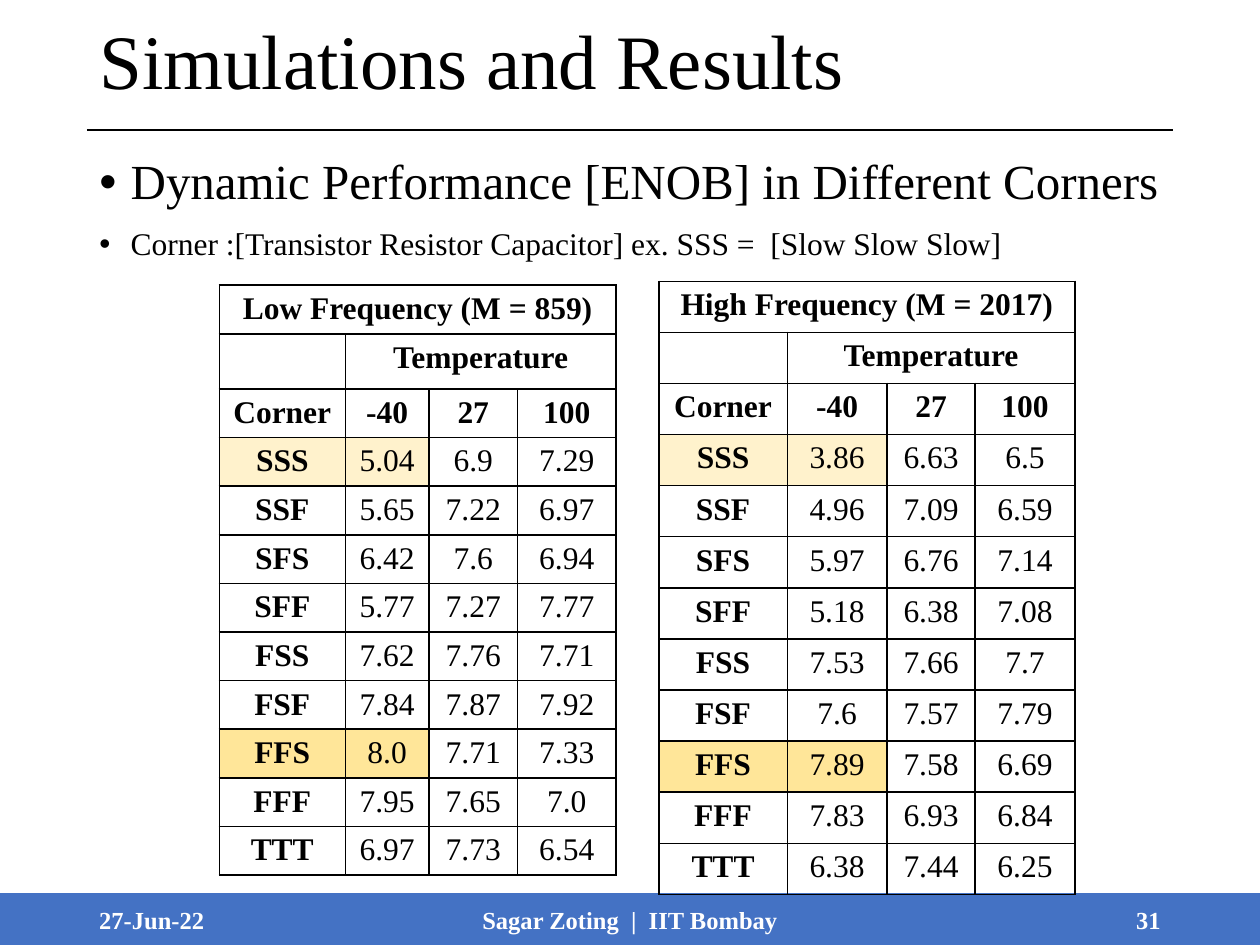
from lxml import etree
from pptx import Presentation
from pptx.dml.color import RGBColor
from pptx.enum.shapes import MSO_CONNECTOR, MSO_SHAPE
from pptx.enum.text import MSO_ANCHOR, MSO_AUTO_SIZE, PP_ALIGN
from pptx.oxml.ns import qn
from pptx.util import Cm, Pt

LEFT, CENTER, RIGHT = PP_ALIGN.LEFT, PP_ALIGN.CENTER, PP_ALIGN.RIGHT
TOP, MIDDLE = MSO_ANCHOR.TOP, MSO_ANCHOR.MIDDLE
NO_AUTOFIT = MSO_AUTO_SIZE.NONE
RECTANGLE, STRAIGHT = MSO_SHAPE.RECTANGLE, MSO_CONNECTOR.STRAIGHT

FONT = "Times New Roman"
BLACK = RGBColor(0x00, 0x00, 0x00)
WHITE = RGBColor(0xFF, 0xFF, 0xFF)
BLUE = RGBColor(0x44, 0x72, 0xC4)
PALE_GOLD = RGBColor(0xFF, 0xF2, 0xCC)
GOLD = RGBColor(0xFF, 0xE6, 0x99)

TITLE = "Simulations and Results"
BULLETS = [
    ("Dynamic Performance [ENOB] in Different Corners", 28),
    ("Corner :[Transistor Resistor Capacitor] ex. SSS =  [Slow Slow Slow]", 18),
]
# text, left and width in cm, alignment
FOOTERS = [
    ("27-Jun-22", 1.75, 5.72, LEFT),
    ("Sagar Zoting  |  IIT Bombay", 8.41, 8.58, CENTER),
    ("31", 17.93, 5.72, RIGHT),
]
TEMPERATURES = ["-40", "27", "100"]
CORNERS = ["SSS", "SSF", "SFS", "SFF", "FSS", "FSF", "FFS", "FFF", "TTT"]
HIGHLIGHTS = {"SSS": PALE_GOLD, "FFS": GOLD}
# lengths in cm; ENOB rows follow CORNERS, columns follow TEMPERATURES
ENOB_TABLES = [
    {
        "heading": "Low Frequency (M = 859)",
        "left": 4.42, "top": 5.75,
        "columns": [2.54, 1.69, 1.78, 1.99],
        "row": 0.98, "temperature_row": 1.11,
        "enob": [
            ("5.04", "6.9", "7.29"), ("5.65", "7.22", "6.97"),
            ("6.42", "7.6", "6.94"), ("5.77", "7.27", "7.77"),
            ("7.62", "7.76", "7.71"), ("7.84", "7.87", "7.92"),
            ("8.0", "7.71", "7.33"), ("7.95", "7.65", "7.0"),
            ("6.97", "7.73", "6.54"),
        ],
    },
    {
        "heading": "High Frequency (M = 2017)",
        "left": 13.28, "top": 5.67,
        "columns": [2.59, 2.01, 1.78, 2.01],
        "row": 1.03, "temperature_row": 1.03,
        "enob": [
            ("3.86", "6.63", "6.5"), ("4.96", "7.09", "6.59"),
            ("5.97", "6.76", "7.14"), ("5.18", "6.38", "7.08"),
            ("7.53", "7.66", "7.7"), ("7.6", "7.57", "7.79"),
            ("7.89", "7.58", "6.69"), ("7.83", "6.93", "6.84"),
            ("6.38", "7.44", "6.25"),
        ],
    },
]

MARGIN, CONTENT_WIDTH = 1.75, 21.9
RULE_Y = 2.62
FOOTER_TOP, FOOTER_HEIGHT = 18.03, 1.02


def place(shape, left, top, width, height):
    box = {"left": left, "top": top, "width": width, "height": height}
    for side, length in box.items():
        setattr(shape, side, Cm(length))


def write(paragraph, text, size, color=BLACK, bold=False, align=LEFT):
    paragraph.alignment = align
    run = paragraph.add_run()
    run.text = text
    style = {"name": FONT, "size": Pt(size), "bold": bold}
    for attribute, value in style.items():
        setattr(run.font, attribute, value)
    run.font.color.rgb = color


def set_frame(frame, anchor):
    settings = {"word_wrap": True, "auto_size": NO_AUTOFIT, "vertical_anchor": anchor}
    for attribute, value in settings.items():
        setattr(frame, attribute, value)


def add_borders(cell):
    properties = cell._tc.get_or_add_tcPr()
    for edge in ("a:lnL", "a:lnR", "a:lnT", "a:lnB"):
        line = etree.SubElement(properties, qn(edge), w=str(Pt(1)))
        fill = etree.SubElement(line, qn("a:solidFill"))
        etree.SubElement(fill, qn("a:srgbClr"), val=str(BLACK))


def add_enob_table(slide, data):
    rows = [
        [data["heading"], "", "", ""],
        ["", "Temperature", "", ""],
        ["Corner", *TEMPERATURES],
        *([corner, *values] for corner, values in zip(CORNERS, data["enob"])),
    ]
    heights = [data["row"]] * len(rows)
    heights[1] = data["temperature_row"]
    widths = data["columns"]
    table = slide.shapes.add_table(
        len(rows), len(widths), Cm(data["left"]), Cm(data["top"]),
        Cm(sum(widths)), Cm(sum(heights))).table
    table.first_row = table.horz_banding = False
    for column, width in zip(table.columns, widths):
        column.width = Cm(width)
    for row, height in zip(table.rows, heights):
        row.height = Cm(height)

    for r, texts in enumerate(rows):
        for c, text in enumerate(texts):
            cell = table.cell(r, c)
            add_borders(cell)
            highlight = HIGHLIGHTS.get(texts[0]) if c < 2 else None
            if highlight:
                cell.fill.solid()
                cell.fill.fore_color.rgb = highlight
            else:
                cell.fill.background()
            if text:
                write(cell.text_frame.paragraphs[0], text, 18,
                      bold=r < 3 or c == 0, align=CENTER)
    table.cell(0, 0).merge(table.cell(0, 3))
    table.cell(1, 1).merge(table.cell(1, 3))


def add_title_and_bullets(slide):
    title, body = slide.placeholders
    place(title, MARGIN, 0, CONTENT_WIDTH, RULE_Y)
    set_frame(title.text_frame, MIDDLE)
    heading = title.text_frame.paragraphs[0]
    heading.line_spacing = 0.9
    write(heading, TITLE, 44)

    place(body, MARGIN, 3.05, CONTENT_WIDTH, 14.12)
    set_frame(body.text_frame, TOP)
    for index, (text, size) in enumerate(BULLETS):
        frame = body.text_frame
        bullet = frame.add_paragraph() if index else frame.paragraphs[0]
        bullet.line_spacing = 0.9
        bullet.space_before = Pt(10)
        write(bullet, text, size)
        properties = bullet._p.get_or_add_pPr()
        properties.set("marL", str(Cm(0.63)))
        properties.set("indent", str(-Cm(0.63)))
        etree.SubElement(properties, qn("a:buFont"), typeface="Arial")
        etree.SubElement(properties, qn("a:buChar"), char="•")


def add_rule(slide):
    rule = slide.shapes.add_connector(
        STRAIGHT, Cm(MARGIN), Cm(RULE_Y), Cm(MARGIN + CONTENT_WIDTH), Cm(RULE_Y))
    rule.line.color.rgb = BLACK
    rule.line.width = Pt(1.5)
    etree.SubElement(rule._element.spPr, qn("a:effectLst"))


def add_footer(slide):
    bar = slide.shapes.add_shape(
        RECTANGLE, 0, Cm(FOOTER_TOP), Cm(25.4), Cm(FOOTER_HEIGHT))
    bar.shadow.inherit = False
    bar.fill.solid()
    bar.fill.fore_color.rgb = bar.line.color.rgb = BLUE
    bar.line.width = Pt(1)
    for text, left, width, align in FOOTERS:
        box = slide.shapes.add_textbox(
            Cm(left), Cm(FOOTER_TOP), Cm(width), Cm(FOOTER_HEIGHT))
        set_frame(box.text_frame, MIDDLE)
        write(box.text_frame.paragraphs[0], text, 14, WHITE, True, align)


def main():
    deck = Presentation()
    deck.slide_width, deck.slide_height = Cm(25.4), Cm(19.05)
    slide = deck.slides.add_slide(deck.slide_layouts[1])
    add_title_and_bullets(slide)
    add_rule(slide)
    add_footer(slide)
    for data in ENOB_TABLES:
        add_enob_table(slide, data)
    deck.save("out.pptx")


if __name__ == "__main__":
    main()
